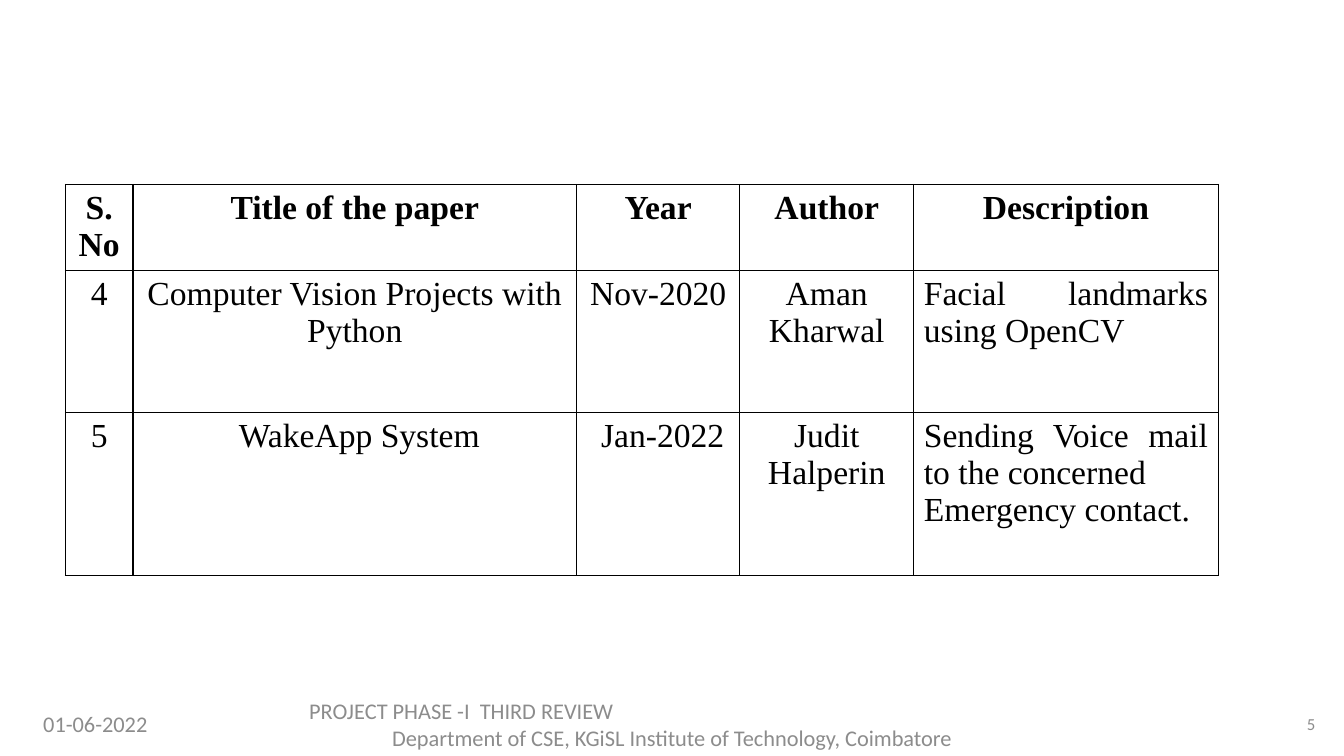
from lxml import etree
from pptx import Presentation
from pptx import util as u
from pptx.dml.color import RGBColor
from pptx.enum import text
from pptx.oxml.ns import qn

BLACK = RGBColor(0x00, 0x00, 0x00)
GREY = RGBColor(0x8C, 0x8C, 0x8C)
LEFT, CENTER, RIGHT, JUSTIFY = (
    text.PP_ALIGN.LEFT, text.PP_ALIGN.CENTER, text.PP_ALIGN.RIGHT, text.PP_ALIGN.JUSTIFY)

PAPERS = [
    ("S.\nNo", "Title of the paper", "Year", "Author", "Description"),
    ("4", "Computer Vision Projects with Python", "Nov-2020", "Aman Kharwal",
     "Facial landmarks using OpenCV"),
    ("5", "WakeApp System", "Jan-2022", "Judit Halperin",
     "Sending Voice mail to the concerned\nEmergency contact."),
]
INDENTED = {(2, 1), (2, 2)}
COL_WIDTHS = (1.7, 11.18, 4.11, 4.39, 7.67)
ROW_HEIGHTS = (2.16, 3.58, 4.11)
TABLE_LEFT, TABLE_TOP = 1.65, 4.65

FOOTER_TOP, FOOTER_HEIGHT = 17.73, 1.02
# left, width, text, size, alignment of each line
FOOTERS = [
    (0.84, 3.68, "01-06-2022", 16, (LEFT,)),
    (7.54, 18.8, "PROJECT PHASE -I  THIRD REVIEW\n"
     "Department of CSE, KGiSL Institute of Technology, Coimbatore", 16, (LEFT, CENTER)),
    (31.85, 1.55, "5", 12, (RIGHT,)),
]


def write(tf, content, font, size, color, aligns, bold=False, indent=0):
    """Fill a text frame, one paragraph a line; the last alignment repeats."""
    tf.word_wrap = True
    for i, line in enumerate(content.split("\n")):
        p = tf.paragraphs[0] if i == 0 else tf.add_paragraph()
        p.alignment = aligns[min(i, len(aligns) - 1)]
        if indent:
            p._p.get_or_add_pPr().set("marL", str(u.Cm(indent)))
        r = p.add_run()
        r.text = line
        r.font.name, r.font.size, r.font.bold = font, u.Pt(size), bold
        r.font.color.rgb = color


def add_borders(cell):
    tcPr = cell._tc.get_or_add_tcPr()
    for i, side in enumerate(("a:lnL", "a:lnR", "a:lnT", "a:lnB")):
        ln = etree.Element(qn(side), w=str(u.Pt(1)))
        fill = etree.SubElement(ln, qn("a:solidFill"))
        etree.SubElement(fill, qn("a:srgbClr"), val=str(BLACK))
        tcPr.insert(i, ln)


def add_papers_table(s):
    frame = s.shapes.add_table(
        len(ROW_HEIGHTS), len(COL_WIDTHS), u.Cm(TABLE_LEFT), u.Cm(TABLE_TOP),
        u.Cm(sum(COL_WIDTHS)), u.Cm(sum(ROW_HEIGHTS)))
    table = frame.table
    table.first_row = table.horz_banding = False
    for col, width in zip(table.columns, COL_WIDTHS):
        col.width = u.Cm(width)
    for row, height in zip(table.rows, ROW_HEIGHTS):
        row.height = u.Cm(height)
    for i, paper in enumerate(PAPERS):
        for j, content in enumerate(paper):
            cell = table.cell(i, j)
            cell.fill.background()
            add_borders(cell)
            is_description = i > 0 and j == len(paper) - 1
            write(cell.text_frame, content, "Times New Roman", 24, BLACK,
                  (JUSTIFY if is_description else CENTER,), bold=i == 0,
                  indent=0.23 if (i, j) in INDENTED else 0)


def add_footers(s):
    for left, width, content, size, aligns in FOOTERS:
        sp = s.shapes.add_textbox(
            u.Cm(left), u.Cm(FOOTER_TOP), u.Cm(width), u.Cm(FOOTER_HEIGHT))
        sp.text_frame.vertical_anchor = text.MSO_ANCHOR.MIDDLE
        write(sp.text_frame, content, "Calibri", size, GREY, aligns)


def main():
    prs = Presentation()
    prs.slide_width, prs.slide_height = u.Cm(33.87), u.Cm(19.05)
    s = prs.slides.add_slide(prs.slide_layouts[6])
    add_papers_table(s)
    add_footers(s)
    prs.save("out.pptx")


if __name__ == "__main__":
    main()
